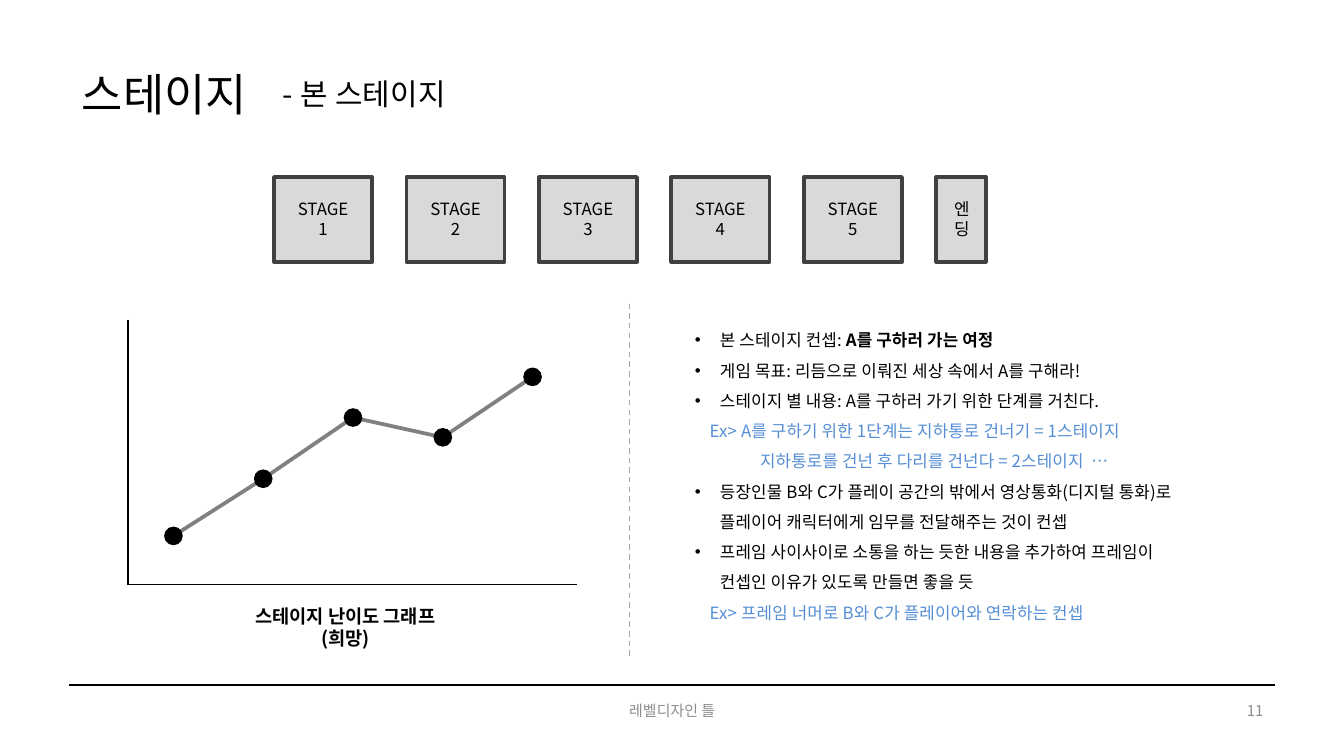
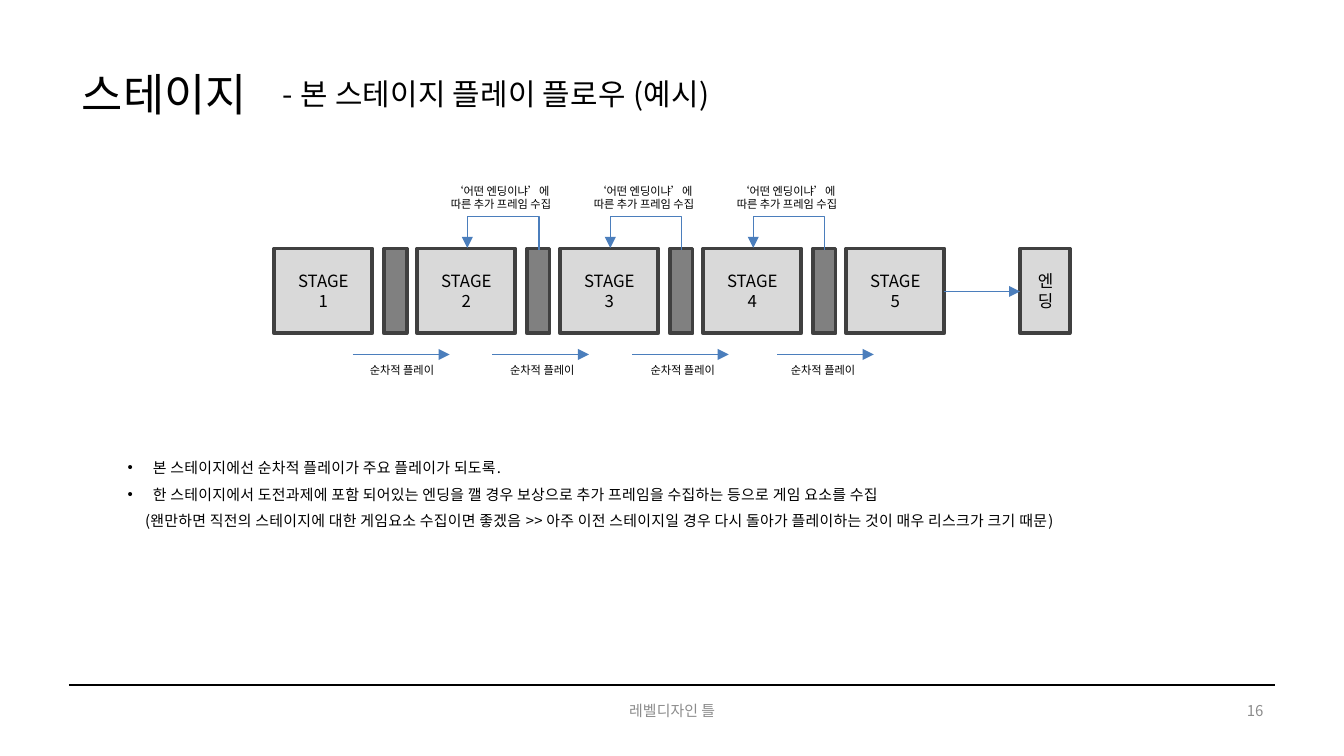
"""Builds the two stage slides of a level design template."""
import collections

import lxml.etree
import pptx
import pptx.dml.color
import pptx.enum.dml
import pptx.enum.shapes
import pptx.enum.text
import pptx.oxml.ns
import pptx.util

Pt = pptx.util.Pt
qn = pptx.oxml.ns.qn
Align = pptx.enum.text.PP_ALIGN
Anchor = pptx.enum.text.MSO_ANCHOR
Preset = pptx.enum.shapes.MSO_SHAPE
Joint = pptx.enum.shapes.MSO_CONNECTOR

FONT = "Noto Sans CJK KR"
BLACK, MUTED, EXAMPLE = "000000", "8C8C8C", "558ED5"
STAGE_FILL, GATE_FILL, STAGE_EDGE = "D9D9D9", "808080", "404040"
CURVE, FLOW, DIVIDER = "808080", "4B7EBC", "A6A6A6"
STAGE_WIDTH, ENDING_WIDTH, GATE_WIDTH, STAGE_HEIGHT = 52.6, 26.6, 12.2, 45.4
STAGES = [f"STAGE{number}" for number in range(1, 6)]
BULLET_INDENT = 13.5

Line = collections.namedtuple(
    "Line", "text strong indent bullet color", defaults=("", 0, False, BLACK))


def bullet(text, strong=""):
    """Return a bulleted line, with an optional bold ending."""
    return Line(text, strong, BULLET_INDENT, True)


def rgb(code):
    """Return the colour for a hex string."""
    return pptx.dml.color.RGBColor.from_string(code)


def write_text(shape, lines, size=9, color=BLACK, align=Align.LEFT, bold=False,
               leading=1.2, anchor=Anchor.TOP, tracking=0):
    """Fill a shape with paragraphs, given as strings or Line tuples."""
    frame = shape.text_frame
    frame.word_wrap = True
    frame.auto_size = pptx.enum.text.MSO_AUTO_SIZE.NONE
    frame.vertical_anchor = anchor
    frame.margin_left = frame.margin_right = Pt(7.2)
    frame.margin_top = frame.margin_bottom = Pt(3.6)
    for index, line in enumerate(lines):
        if isinstance(line, str):
            line = Line(line, color=color)
        paragraph = frame.add_paragraph() if index else frame.paragraphs[0]
        paragraph.alignment = align
        paragraph.line_spacing = Pt(round(size * leading, 2))
        paragraph.space_before = paragraph.space_after = Pt(0)
        for words, heavy in ((line.text, bold), (line.strong, True)):
            if words:
                run = paragraph.add_run()
                run.text = words
                run.font.size = Pt(size)
                run.font.bold = heavy
                run.font.name = FONT
                run.font.color.rgb = rgb(line.color)
                if tracking:
                    run.font._element.set("spc", str(round(tracking * 100)))
                east_asian = lxml.etree.SubElement(run.font._element, qn("a:ea"))
                east_asian.set("typeface", FONT)
        properties = paragraph._p.get_or_add_pPr()
        properties.set("marL", str(Pt(line.indent)))
        properties.set("indent", str(-Pt(line.indent) if line.bullet else 0))
        if line.bullet:
            lxml.etree.SubElement(properties, qn("a:buFont")).set("typeface", "Arial")
            lxml.etree.SubElement(properties, qn("a:buChar")).set("char", "•")
        else:
            lxml.etree.SubElement(properties, qn("a:buNone"))


def add_text(slide, box, lines, **style):
    """Add a text box at (left, top, width, height)."""
    label = slide.shapes.add_textbox(*map(Pt, box))
    write_text(label, lines, **style)


def fill_placeholder(placeholder, box, lines, **style):
    """Move a placeholder to a box and write its text."""
    placeholder.left, placeholder.top, placeholder.width, placeholder.height = map(Pt, box)
    write_text(placeholder, lines, **style)


def add_block(slide, box, fill, edge=None, preset=Preset.RECTANGLE):
    """Add a filled preset shape, outlined when an edge colour is given."""
    block = slide.shapes.add_shape(preset, *map(Pt, box))
    block.shadow.inherit = False
    block.fill.solid()
    block.fill.fore_color.rgb = rgb(fill)
    if edge:
        block.line.color.rgb = rgb(edge)
        block.line.width = Pt(2)
    else:
        block.line.fill.background()


def add_line(slide, start, end, color=BLACK, arrow=False, dashed=False,
             joint=Joint.STRAIGHT):
    """Add a thin connector between two points."""
    connector = slide.shapes.add_connector(joint, *map(Pt, (*start, *end)))
    connector.line.color.rgb = rgb(color)
    connector.line.width = Pt(0.75)
    if dashed:
        connector.line.dash_style = pptx.enum.dml.MSO_LINE.DASH
    if arrow:
        outline = connector.line._get_or_add_ln()
        lxml.etree.SubElement(outline, qn("a:tailEnd")).set("type", "triangle")
    lxml.etree.SubElement(connector._element.spPr, qn("a:effectLst"))
    return connector


def add_return_arrow(slide, center, top, span, rise):
    """Add an arrow that rises, runs left over the span and comes down."""
    half = span / 2
    connector = add_line(slide, (center - 0.5, top + half), (center + 0.5, top - half),
                         FLOW, arrow=True, joint=Joint.ELBOW)
    properties = connector._element.spPr
    properties.find(qn("a:xfrm")).set("rot", str(270 * 60000))
    geometry = properties.find(qn("a:prstGeom"))
    guides = geometry.find(qn("a:avLst"))
    if guides is None:
        guides = lxml.etree.SubElement(geometry, qn("a:avLst"))
    guide = lxml.etree.SubElement(guides, qn("a:gd"))
    guide.set("name", "adj1")
    guide.set("fmla", f"val {rise * 100000}")


def add_frame(deck, subtitle, number):
    """Add a slide with title, subtitle, rule, footer and page number."""
    slide = deck.slides.add_slide(deck.slide_layouts[1])
    fill_placeholder(slide.shapes.title, (36.7, 31.9, 163.4, 36), ["스테이지"], size=24)
    add_text(slide, (144.5, 36.9, 243, 26.6), [subtitle], size=16, tracking=0.18)
    add_line(slide, (36.9, 366.95), (683.3, 366.95))
    footer = dict(size=8, color=MUTED, anchor=Anchor.MIDDLE)
    add_text(slide, (246.2, 369.9, 228, 21.6), ["레벨디자인 틀"],
             align=Align.CENTER, **footer)
    add_text(slide, (516.2, 369.9, 167.8, 21.6), [str(number)],
             align=Align.RIGHT, **footer)
    return slide


def add_stage(slide, left, top, width, lines, inset):
    """Add one stage block with its label."""
    add_block(slide, (left, top, width, STAGE_HEIGHT), STAGE_FILL, STAGE_EDGE)
    add_text(slide, (left + inset, top + 8.2, width - 2 * inset, 28.8), lines,
             align=Align.CENTER)


def add_stage_row(slide, left, top, pitch, ending_left):
    """Add the five stages at an equal pitch, then the ending."""
    for index, name in enumerate(STAGES):
        add_stage(slide, left + index * pitch, top, STAGE_WIDTH, [name], 4.3)
    add_stage(slide, ending_left, top, ENDING_WIDTH, ["엔", "딩"], 2.4)


def add_difficulty_graph(slide, left, top, width, height):
    """Draw the difficulty curve with its axes, points and caption."""
    first, step, radius = 24.3, 48.1, 5
    levels = [115.7, 85.1, 52.3, 62.9, 30.5]
    points = [(left + first + index * step, top + level)
              for index, level in enumerate(levels)]
    outline = slide.shapes.build_freeform(*map(Pt, points[0]))
    outline.add_line_segments([tuple(map(Pt, point)) for point in points[1:]], close=False)
    curve = outline.convert_to_shape()
    curve.shadow.inherit = False
    curve.fill.background()
    curve.line.color.rgb = rgb(CURVE)
    curve.line.width = Pt(2)
    bottom = top + height
    add_line(slide, (left, top), (left, bottom))
    add_line(slide, (left, bottom), (left + width, bottom))
    for x, y in points:
        add_block(slide, (x - radius, y - radius, 2 * radius, 2 * radius), BLACK,
                  preset=Preset.OVAL)
    add_text(slide, (left + 31.4, bottom + 7.2, 170, 31.7),
             ["스테이지 난이도 그래프", "(희망)"],
             size=10, bold=True, align=Align.CENTER)


def add_play_flow(slide, left, top, pitch):
    """Draw the stages with gates, play arrows and return arrows."""
    ending_left = left + 399.6
    add_stage_row(slide, left, top, pitch, ending_left)
    for index, offset in enumerate((42.2, 116.8, 191.7, 269.4)):
        add_block(slide, (left + 58.8 + index * pitch, top, GATE_WIDTH, STAGE_HEIGHT),
                  GATE_FILL, STAGE_EDGE)
        start, level = left + offset, top + 56.7
        add_line(slide, (start, level), (start + 51.8, level), FLOW, arrow=True)
        add_text(slide, (left + 30.6 + index * 75.2, top + 57.8, 75.6, 14.4),
                 ["순차적 플레이"], size=6, align=Align.CENTER)
    middle = top + STAGE_HEIGHT / 2 + 0.25
    add_line(slide, (left + 4 * pitch + STAGE_WIDTH, middle), (ending_left, middle),
             FLOW, arrow=True)
    for index in range(3):
        shift = left + index * pitch
        add_return_arrow(slide, shift + 122.6, top + 0.15, 38.3, 18)
        add_text(slide, (shift + 84.3, top - 38.2, 75.6, 21.6),
                 ["‘어떤 엔딩이냐’에 ", "따른 추가 프레임 수집 "],
                 size=6, align=Align.CENTER)


def build_overview(deck):
    """Build the slide on the concept and difficulty of the main stages."""
    slide = add_frame(deck, "- 본 스테이지", 11)
    add_stage_row(slide, 146.8, 94.9, 70.95, 501.6)
    add_difficulty_graph(slide, 68.6, 171.4, 240.5, 141.8)
    fill_placeholder(slide.placeholders[1], (365, 167.8, 284.4, 170.6), [
        bullet("본 스테이지 컨셉: ", "A를 구하러 가는 여정"),
        bullet("게임 목표: 리듬으로 이뤄진 세상 속에서 A를 구해라!"),
        bullet("스테이지 별 내용: A를 구하러 가기 위한 단계를 거친다."),
        Line("Ex> A를 구하기 위한 1단계는 지하통로 건너기 = 1스테이지",
             indent=8, color=EXAMPLE),
        Line("지하통로를 건넌 후 다리를 건넌다 = 2스테이지  …", indent=35, color=EXAMPLE),
        bullet("등장인물 B와 C가 플레이 공간의 밖에서 영상통화(디지털 통화)로 "
               "플레이어 캐릭터에게 임무를 전달해주는 것이 컨셉"),
        bullet("프레임 사이사이로 소통을 하는 듯한 내용을 추가하여 프레임이 "
               "컨셉인 이유가 있도록 만들면 좋을 듯"),
        Line("Ex> 프레임 너머로 B와 C가 플레이어와 연락하는 컨셉", indent=8, color=EXAMPLE),
    ], leading=1.8, tracking=0.09)
    add_line(slide, (337.4, 162.7), (337.4, 352), DIVIDER, dashed=True)


def build_flow(deck):
    """Build the slide on the play flow of the main stages."""
    slide = add_frame(deck, "- 본 스테이지 플레이 플로우 (예시)", 16)
    add_play_flow(slide, 146.9, 133.2, 76.6)
    fill_placeholder(slide.placeholders[1], (61.2, 237.1, 621.4, 49), [
        bullet("본 스테이지에선 순차적 플레이가 주요 플레이가 되도록."),
        bullet("한 스테이지에서 도전과제에 포함 되어있는 엔딩을 깰 경우 보상으로 "
               "추가 프레임을 수집하는 등으로 게임 요소를 수집"),
        Line("(왠만하면 직전의 스테이지에 대한 게임요소 수집이면 좋겠음 >> 아주 이전 "
             "스테이지일 경우 다시 돌아가 플레이하는 것이 매우 리스크가 크기 때문)", indent=9.3),
    ], size=8, leading=1.8, tracking=0.11)


def main():
    """Build and save the presentation."""
    deck = pptx.Presentation()
    deck.slide_width, deck.slide_height = Pt(720), Pt(405)
    build_overview(deck)
    build_flow(deck)
    deck.save("out.pptx")


main()
